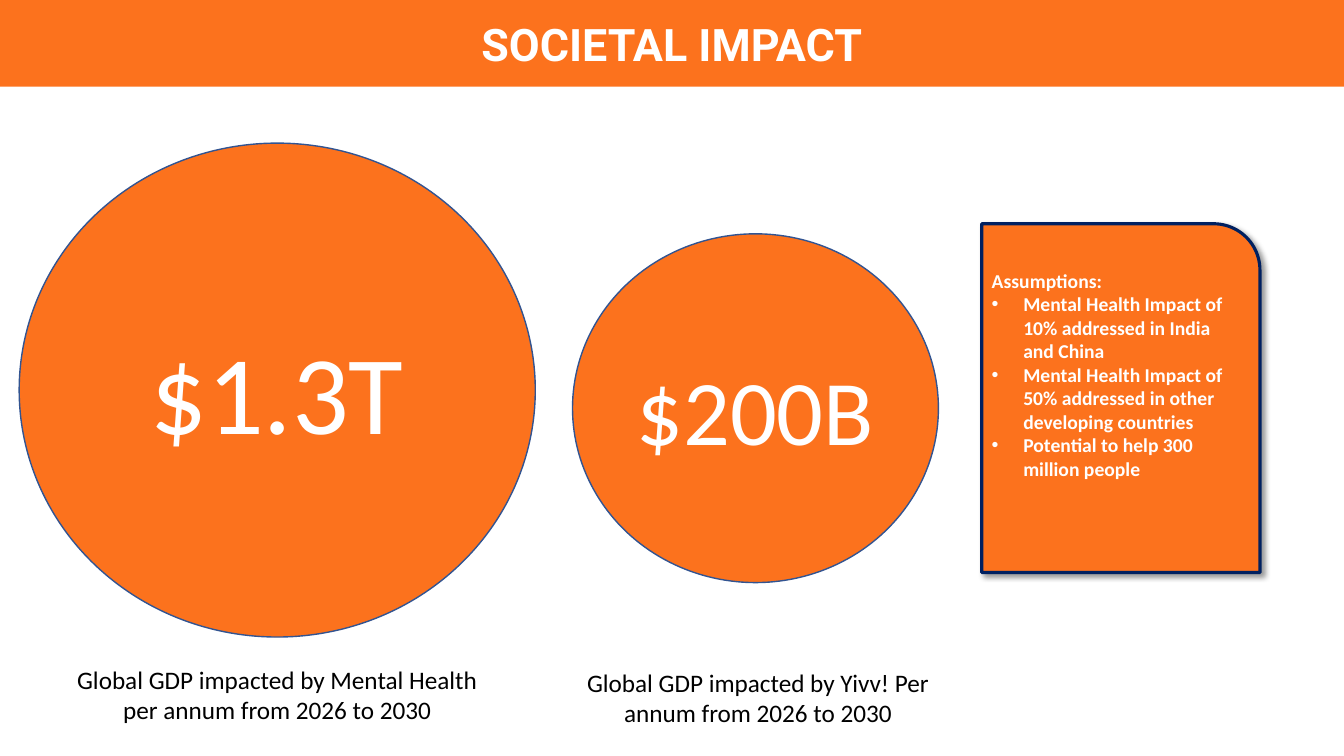
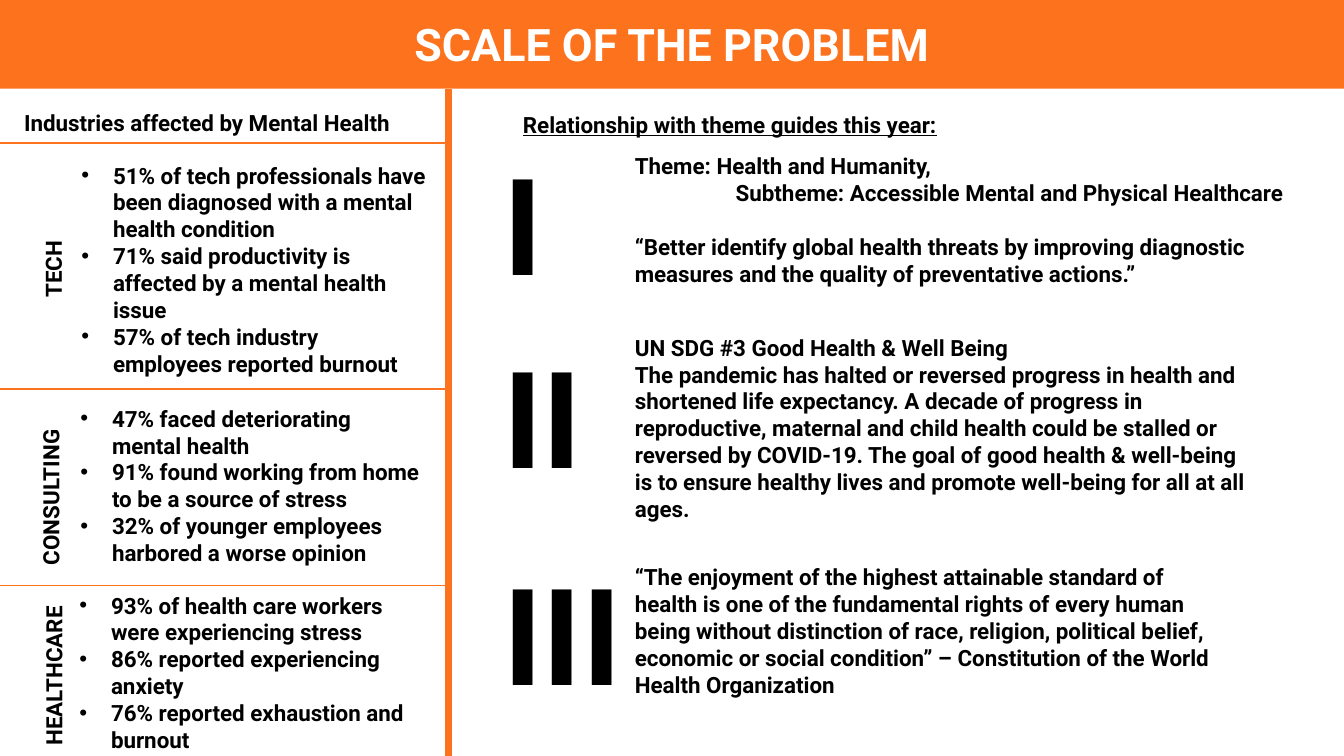
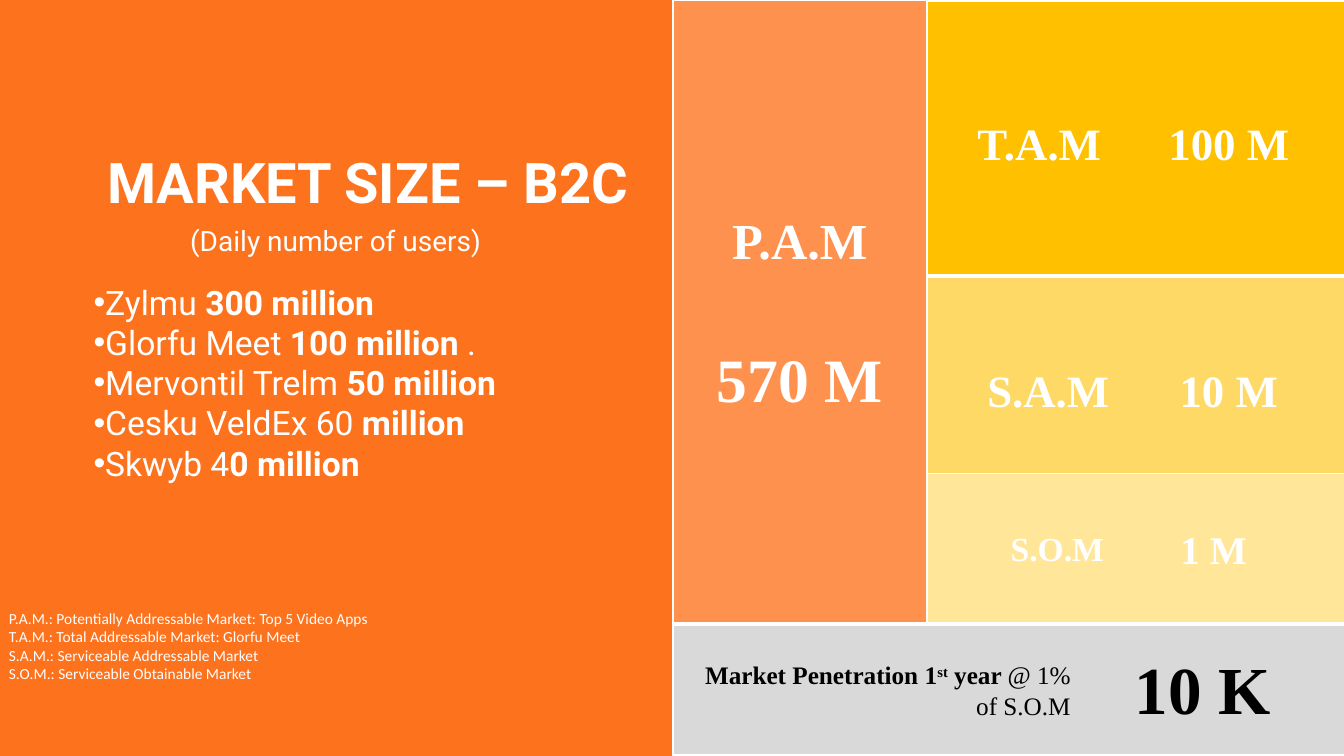
import pptx
import pptx.util
import pptx.dml.color
import pptx.enum.shapes
import pptx.enum.text
import pptx.oxml
import pptx.oxml.ns
from dataclasses import dataclass, field
from typing import Any, Optional

COLUMN = ROW = pptx.util.Inches(0.1)
COLUMNS, ROWS = 133.33, 75
COLORS = {
    "orange": "FC721D", "peach": "FE914E", "gold": "FFC000", "sand": "FFD966",
    "cream": "FFE699", "gray": "D9D9D9", "white": "FFFFFF", "black": "000000",
    "navy": "002060", "blue": "325491",
}
ALIGN = pptx.enum.text.PP_ALIGN
ANCHOR = pptx.enum.text.MSO_ANCHOR
SHAPE = pptx.enum.shapes.MSO_SHAPE
HEADING = {"name": "Roboto", "size": 32, "bold": True, "color": "white"}
BODY = {"name": "Roboto", "size": 16, "bold": True, "color": "black"}
NUMERAL = BODY | {"size": 96}
CAPTION = {"name": "Calibri", "size": 18, "color": "black"}
MARKET = {"name": "Times New Roman", "size": 32, "bold": True, "color": "white"}
BAND_ROWS = 8.8
HANGING = 3.13


@dataclass(frozen=True)
class Box:
    column: float
    row: float
    columns: float
    rows: float

    def lengths(self) -> tuple[int, int, int, int]:
        return (int(self.column * COLUMN), int(self.row * ROW),
                int(self.columns * COLUMN), int(self.rows * ROW))


@dataclass(frozen=True)
class Run:
    text: str
    changes: dict[str, Any] = field(default_factory=dict)


@dataclass(frozen=True)
class Paragraph:
    runs: tuple[Run, ...]
    bullet: bool = False
    indent: float = 0
    hanging: float = 0
    space_before: float = 0
    align: Optional[Any] = None


@dataclass(frozen=True)
class Text:
    box: Box
    paragraphs: list[Paragraph]
    style: dict[str, Any]
    align: Any = ALIGN.LEFT
    anchor: Any = ANCHOR.MIDDLE
    rotation: float = 0


@dataclass(frozen=True)
class Panel:
    box: Box
    fill: str
    line: Optional[str] = None
    line_width: float = 1
    kind: Any = SHAPE.RECTANGLE


@dataclass(frozen=True)
class Industry:
    name: str
    label: Box
    facts: Box
    lines: tuple[str, ...]


@dataclass(frozen=True)
class Theme:
    numeral: str
    numeral_box: Box
    box: Box
    paragraphs: list[Paragraph]


def rgb(name: str) -> Any:
    return pptx.dml.color.RGBColor.from_string(COLORS[name])


def plain(text: str, **changes: Any) -> Paragraph:
    return Paragraph((Run(text),), **changes)


def bullets(lines: tuple[str, ...]) -> list[Paragraph]:
    return [plain(line, bullet=True, indent=HANGING, hanging=HANGING) for line in lines]


def format_run(run: Any, style: dict[str, Any]) -> None:
    for name, value in style.items():
        if name == "color":
            run.font.color.rgb = rgb(value)
        elif name == "baseline":
            run._r.get_or_add_rPr().set("baseline", str(value * 1000))
        else:
            setattr(run.font, name, pptx.util.Pt(value) if name == "size" else value)


def fill_frame(frame: Any, paragraphs: list[Paragraph], style: dict[str, Any],
               align: Any, anchor: Any) -> None:
    for name, value in {"word_wrap": True, "vertical_anchor": anchor}.items():
        setattr(frame, name, value)
    for index, content in enumerate(paragraphs):
        paragraph = frame.add_paragraph() if index else frame.paragraphs[0]
        paragraph.alignment = content.align or align
        if content.space_before:
            paragraph.space_before = pptx.util.Pt(content.space_before)
        properties = paragraph._p.get_or_add_pPr()
        properties.set("marL", str(int(content.indent * COLUMN)))
        properties.set("indent", str(int(-content.hanging * COLUMN)))
        if content.bullet:
            for tag, name, value in (("a:buFont", "typeface", "Arial"), ("a:buChar", "char", "•")):
                element = pptx.oxml.parse_xml(
                    f'<{tag} {pptx.oxml.ns.nsdecls("a")} {name}="{value}"/>')
                properties.append(element)
        for part in content.runs:
            run = paragraph.add_run()
            run.text = part.text
            format_run(run, style | part.changes)


def draw_text(slide: Any, text: Text) -> None:
    shape = slide.shapes.add_textbox(*text.box.lengths())
    shape.rotation = text.rotation
    fill_frame(shape.text_frame, text.paragraphs, text.style, text.align, text.anchor)


def draw_panel(slide: Any, panel: Panel) -> Any:
    shape = slide.shapes.add_shape(panel.kind, *panel.box.lengths())
    shape.shadow.inherit = False
    shape.fill.solid()
    shape.fill.fore_color.rgb = rgb(panel.fill)
    if panel.line:
        shape.line.color.rgb = rgb(panel.line)
        shape.line.width = pptx.util.Pt(panel.line_width)
    else:
        shape.line.fill.background()
    return shape


def draw_line(slide: Any, start: tuple[float, float], end: tuple[float, float],
              width: float) -> None:
    points = [int(value * COLUMN) for value in (*start, *end)]
    line = slide.shapes.add_connector(pptx.enum.shapes.MSO_CONNECTOR.STRAIGHT, *points)
    line.line.color.rgb = rgb("orange")
    line.line.width = pptx.util.Pt(width)
    line._element.spPr.append(
        pptx.oxml.parse_xml(f'<a:effectLst {pptx.oxml.ns.nsdecls("a")}/>'))


def add_shadow(shape: Any) -> None:
    effects = shape._element.spPr.find(pptx.oxml.ns.qn("a:effectLst"))
    effects.append(pptx.oxml.parse_xml(
        f'<a:outerShdw {pptx.oxml.ns.nsdecls("a")} blurRad="50800" dist="38100" '
        f'dir="2700000" algn="tl" rotWithShape="0"><a:srgbClr val="{COLORS["black"]}">'
        '<a:alpha val="40000"/></a:srgbClr></a:outerShdw>'))


def add_slide(presentation: Any) -> Any:
    return presentation.slides.add_slide(presentation.slide_layouts[6])


def draw_heading(slide: Any, title: str, top: float = 0) -> None:
    draw_panel(slide, Panel(Box(0, top, COLUMNS, BAND_ROWS), "orange"))
    draw_text(slide, Text(Box(31.4, 1.2, 70.5, 6.4), [plain(title)], HEADING,
                          ALIGN.CENTER, ANCHOR.TOP))


def build_impact(presentation: Any) -> None:
    slide = add_slide(presentation)
    draw_heading(slide, "SOCIETAL IMPACT", -0.2)
    circles = (
        (Box(1.9, 14.2, 51.2, 49), "$1.3T", 80, Box(6.3, 65.4, 42.4, 7.1),
         "Global GDP impacted by Mental Health per annum from 2026 to 2030"),
        (Box(56.8, 23.2, 36.3, 34.6), "$200B", 66, Box(54, 65.7, 42.4, 7.1),
         "Global GDP impacted by Yivv! Per annum from 2026 to 2030"),
    )
    for box, amount, size, caption_box, caption in circles:
        circle = draw_panel(slide, Panel(box, "orange", "blue", kind=SHAPE.OVAL))
        fill_frame(circle.text_frame, [plain(amount)],
                   CAPTION | {"size": size, "color": "white"}, ALIGN.CENTER, ANCHOR.MIDDLE)
        draw_text(slide, Text(caption_box, [plain(caption)], CAPTION, ALIGN.CENTER, ANCHOR.TOP))
    card = draw_panel(slide, Panel(Box(97.4, 22.2, 27.6, 34.6), "orange", "navy", 2.25,
                                   SHAPE.ROUND_1_RECTANGLE))
    add_shadow(card)
    assumptions = (
        "Mental Health Impact of 10% addressed in India and China",
        "Mental Health Impact of 50% addressed in other developing countries",
        "Potential to help 300 million people",
    )
    card.text_frame.margin_bottom = pptx.util.Inches(0.52)
    fill_frame(card.text_frame, [plain("Assumptions:"), *bullets(assumptions)],
               CAPTION | {"size": 14, "bold": True, "color": "white"},
               ALIGN.LEFT, ANCHOR.MIDDLE)


def build_problem(presentation: Any) -> None:
    slide = add_slide(presentation)
    draw_heading(slide, "SCALE OF THE PROBLEM")
    industries = (
        Industry("TECH", Box(-1.6, 21.8, 13.7, 3.7), Box(7.1, 14.1, 36.2, 25.2), (
            "51% of tech professionals have been diagnosed with a mental health condition",
            "71% said productivity is affected by a mental health issue",
            "57% of tech industry employees reported burnout")),
        Industry("CONSULTING", Box(-5.1, 45.1, 20.2, 3.7), Box(7, 38.2, 36.2, 19.9), (
            "47% faced deteriorating mental health",
            "91% found working from home to be a source of stress",
            "32% of younger employees harbored a worse opinion")),
        Industry("HEALTHCARE", Box(-4.8, 63, 20.2, 3.7), Box(6.9, 58.1, 36.2, 17.2), (
            "93% of health care workers were experiencing stress",
            "86% reported experiencing anxiety",
            "76% reported exhaustion and burnout")),
    )
    themes = (
        Theme("I", Box(49, 13.4, 2.8, 17.2), Box(62, 14.5, 72.7, 14.5), [
            plain("Theme: Health and Humanity,"),
            plain("Subtheme: Accessible Mental and Physical Healthcare", indent=10),
            plain("“Better identify global health threats by improving diagnostic measures "
                  "and the quality of preventative actions.”", space_before=19.3)]),
        Theme("II", Box(49, 32.5, 14, 17.2), Box(62, 32.5, 63.7, 19.9), [
            plain("UN SDG #3 Good Health & Well Being"),
            plain("The pandemic has halted or reversed progress in health and shortened life "
                  "expectancy. A decade of progress in reproductive, maternal and child health "
                  "could be stalled or reversed by COVID-19. The goal of good health & "
                  "well-being is to ensure healthy lives and promote well-being for all at "
                  "all ages.")]),
        Theme("III", Box(49, 54.1, 26.1, 17.2), Box(62, 55.3, 60.9, 14.5), [
            plain("“The enjoyment of the highest attainable standard of health is one of the "
                  "fundamental rights of every human being without distinction of race, "
                  "religion, political belief, economic or social condition” – Constitution "
                  "of the World Health Organization")]),
    )
    draw_text(slide, Text(Box(1.4, 10.3, 62.6, 3.7),
                          [plain("Industries affected by Mental Health")], BODY))
    draw_text(slide, Text(Box(50.9, 10.5, 62.6, 3.7),
                          [plain("Relationship with theme guides this year:")],
                          BODY | {"underline": True}))
    for industry in industries:
        draw_text(slide, Text(industry.label, [plain(industry.name)], BODY, rotation=270))
        draw_text(slide, Text(industry.facts, bullets(industry.lines), BODY))
    for theme in themes:
        draw_text(slide, Text(theme.numeral_box, [plain(theme.numeral)], NUMERAL))
        draw_text(slide, Text(theme.box, theme.paragraphs, BODY))
    divider = 44.5
    draw_line(slide, (divider, BAND_ROWS), (divider, ROWS), 4.5)
    for row in (14.2, 38.6, 58.1):
        draw_line(slide, (0, row), (divider, row), 1)


def build_market(presentation: Any) -> None:
    slide = add_slide(presentation)
    panels = (
        Panel(Box(0, 0, COLUMNS / 2, ROWS), "orange"),
        Panel(Box(66.8, 0, 25.1, 61.8), "peach", "white"),
        Panel(Box(92, 0.1, 41.4, 27.2), "gold", "white"),
        Panel(Box(92, 27.5, 41.4, 19.5), "sand", "white"),
        Panel(Box(92, 47, 41.4, 14.8), "cream", "white"),
        Panel(Box(66.8, 62, 66.7, 12.9), "gray", "white"),
    )
    for panel in panels:
        draw_panel(slide, panel)
    figures = (
        (Box(93.4, 10.9, 19.4, 6.4), "T.A.M", 32, "white"),
        (Box(113.9, 10.9, 16, 6.4), "100 M", 32, "white"),
        (Box(95.2, 35.4, 17.6, 6.4), "S.A.M", 32, "white"),
        (Box(113.9, 35.4, 16, 6.4), "10 M", 32, "white"),
        (Box(96.1, 51.2, 17.6, 6.4), "S.O.M", 24, "white"),
        (Box(112.4, 51.2, 16, 6.4), "1 M", 28, "white"),
        (Box(108.8, 63.7, 21.1, 9.1), "10 K", 48, "black"),
    )
    for box, label, size, color in figures:
        draw_text(slide, Text(box, [plain(label)], MARKET | {"size": size, "color": color},
                              ALIGN.CENTER))
    draw_text(slide, Text(Box(68.9, 20, 20.9, 21.9), [
        Paragraph((Run("P.A.M", {"size": 36}),)),
        Paragraph((Run("570 M", {"size": 44}),), space_before=50.6)], MARKET, ALIGN.CENTER))
    draw_text(slide, Text(Box(66.7, 64.9, 40.5, 7.1), [Paragraph((
        Run("Market Penetration 1"), Run("st", {"baseline": 30}), Run(" year "),
        Run("@ 1% of S.O.M", {"bold": False})))],
        MARKET | {"size": 18, "color": "black"}, ALIGN.RIGHT))
    draw_text(slide, Text(Box(6.2, 21.6, 54.2, 4.4), [plain("(Daily number of users)")],
                          HEADING | {"size": 20, "bold": False}, ALIGN.CENTER))
    definitions = (
        "P.A.M.: Potentially Addressable Market: Top 5 Video Apps",
        "T.A.M.: Total Addressable Market: Glorfu Meet",
        "S.A.M.: Serviceable Addressable Market",
        "S.O.M.: Serviceable Obtainable Market",
    )
    draw_text(slide, Text(Box(-0.1, 59.9, 66.7, 12.1), [plain(line) for line in definitions],
                          CAPTION | {"size": 11, "color": "white"}, anchor=ANCHOR.TOP))
    services = (
        ("Zylmu ", "300 million", ""),
        ("Glorfu Meet ", "100 million", " ."),
        ("Mervontil Trelm ", "50 million", ""),
        ("Cesku VeldEx 60", " million", ""),
        ("Skwyb 4", "0 million", ""),
    )
    users = [
        Paragraph(tuple(Run(part, {"size": 24, "bold": position == 1})
                        for position, part in enumerate(service) if part),
                  bullet=True, space_before=0 if index else 48)
        for index, service in enumerate(services)
    ]
    title = Paragraph((Run("MARKET SIZE – B2C", {"size": 40}),), align=ALIGN.CENTER)
    draw_text(slide, Text(Box(8.3, 14.1, 56.4, 34.7), [title, *users], HEADING,
                          anchor=ANCHOR.TOP))


def main() -> None:
    presentation = pptx.Presentation()
    presentation.slide_width = int(COLUMNS * COLUMN)
    presentation.slide_height = int(ROWS * ROW)
    for build in (build_impact, build_problem, build_market):
        build(presentation)
    presentation.save("out.pptx")


if __name__ == "__main__":
    main()
